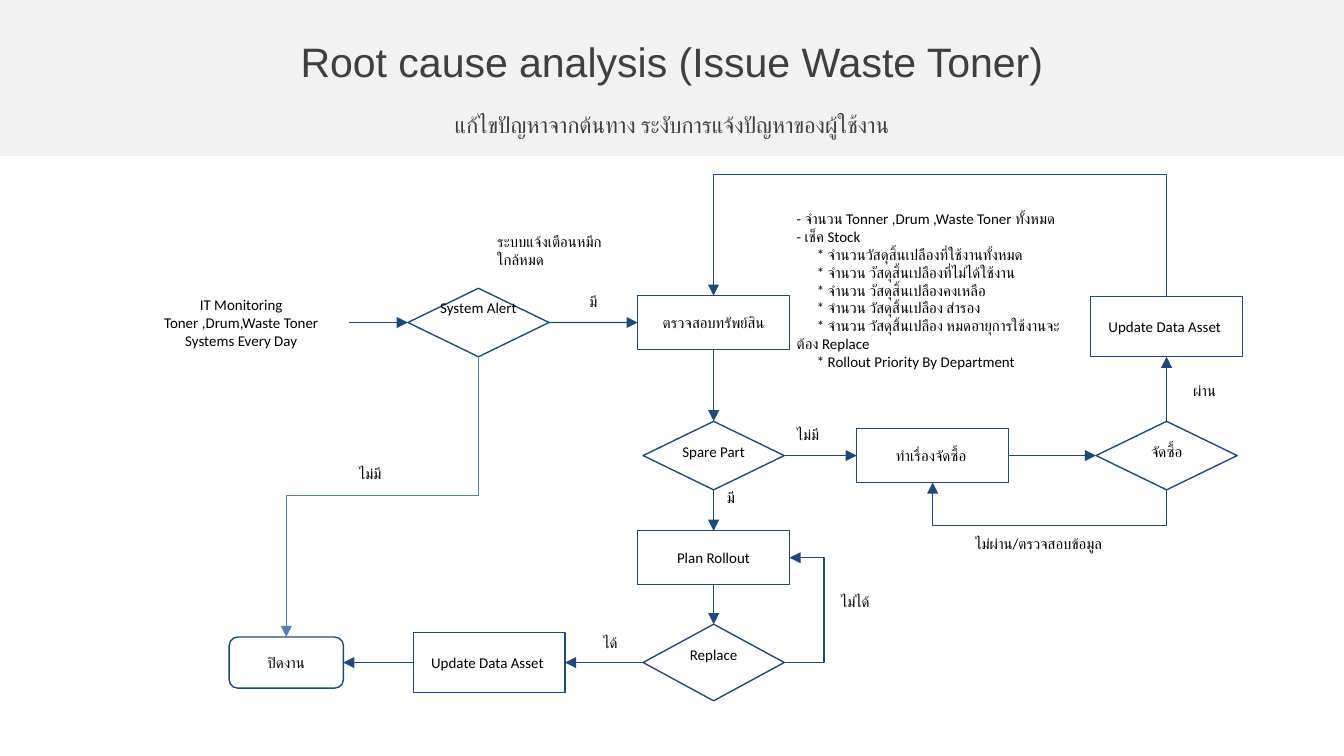
from lxml.etree import SubElement
from pptx import Presentation
from pptx.dml.color import RGBColor
from pptx.enum.shapes import MSO_CONNECTOR, MSO_SHAPE
from pptx.enum.text import MSO_ANCHOR, MSO_AUTO_SIZE, PP_ALIGN
from pptx.oxml.ns import qn
from pptx.util import Inches, Pt

NAVY = RGBColor(0x1F, 0x49, 0x7D)
BLUE = RGBColor(0x4F, 0x81, 0xBD)
WHITE = RGBColor(0xFF, 0xFF, 0xFF)
BLACK = RGBColor(0, 0, 0)
BAND_GREY = RGBColor(0xF2, 0xF2, 0xF2)
HEADING_GREY = RGBColor(0x3F, 0x3F, 0x3F)

WIDTH = 10
HEIGHT = WIDTH * 9 / 16
CLOSE_COL, ALERT_COL, UPDATE_COL, MAIN_COL, BUY_COL, ASSET_COL = 2.13, 3.56, 3.64, 5.31, 6.94, 8.68
CHECK_ROW, ASSET_ROW, PART_ROW, PLAN_ROW, REPLACE_ROW = 2.4, 2.43, 3.39, 4.15, 4.93
STEP_WIDTH, STEP_HEIGHT, ASSET_HEIGHT = 1.13, 0.4, 0.45
DECISION_WIDTH, DECISION_HEIGHT = 1.05, 0.51
LABEL_HEIGHT = 0.34
INSET = Inches(0.1)
TOP, LEFT, BOTTOM, RIGHT = range(4)

STOCK_CHECKS = [
    ("- จำนวน Tonner ,Drum ,Waste Toner ทั้งหมด", 0),
    ("- เช็ค Stock", 0),
    ("* จำนวนวัสดุสิ้นเปลืองที่ใช้งานทั้งหมด", 1),
    ("* จำนวน วัสดุสิ้นเปลืองที่ไม่ได้ใช้งาน", 1),
    ("* จำนวน วัสดุสิ้นเปลืองคงเหลือ", 1),
    ("* จำนวน วัสดุสิ้นเปลือง สำรอง", 1),
    ("* จำนวน วัสดุสิ้นเปลือง หมดอายุการใช้งานจะต้อง Replace", 1),
    ("* Rollout Priority By Department", 1),
]

LABELS = [
    ("ระบบแจ้งเตือนหมึกใกล้หมด", 3.6, 1.63, 1.09, 0.47, PP_ALIGN.LEFT),
    ("มี", 4.21, 2.11, 0.41, LABEL_HEIGHT, PP_ALIGN.CENTER),
    ("ไม่มี", 2.55, 3.39, 0.41, LABEL_HEIGHT, PP_ALIGN.CENTER),
    ("ไม่มี", 5.83, 3.1, 0.41, LABEL_HEIGHT, PP_ALIGN.LEFT),
    ("มี", 5.31, 3.57, 0.41, LABEL_HEIGHT, PP_ALIGN.LEFT),
    ("ได้", 4.39, 4.65, 0.41, LABEL_HEIGHT, PP_ALIGN.LEFT),
    ("ไม่ได้", 6.16, 4.34, 0.52, LABEL_HEIGHT, PP_ALIGN.LEFT),
    ("ผ่าน", 8.78, 2.77, 0.6, LABEL_HEIGHT, PP_ALIGN.LEFT),
    ("ไม่ผ่าน/ตรวจสอบข้อมูล", 7.16, 3.91, 1.3, LABEL_HEIGHT, PP_ALIGN.LEFT),
]


def style(paragraph, size=8, color=BLACK, face="Calibri", align=PP_ALIGN.CENTER):
    """Format one paragraph, including its Thai typeface."""
    paragraph.alignment = align
    font = paragraph.font
    font.size, font.name = Pt(size), face
    font.color.rgb = color
    SubElement(paragraph._p.pPr.find(qn("a:defRPr")), qn("a:cs"), typeface=face)


def set_insets(frame):
    """Give a text frame equal insets and wrapping."""
    frame.margin_left = frame.margin_right = frame.margin_top = frame.margin_bottom = INSET
    frame.word_wrap = True


def heading(placeholder, text, top, height, size, face):
    """Fill and place a full-width heading placeholder."""
    placeholder.left, placeholder.width = 0, Inches(WIDTH)
    placeholder.top, placeholder.height = Inches(top), Inches(height)
    frame = placeholder.text_frame
    frame.text = text
    frame.vertical_anchor = MSO_ANCHOR.MIDDLE
    frame.auto_size = MSO_AUTO_SIZE.NONE
    style(frame.paragraphs[0], size, HEADING_GREY, face)


def band(slide):
    """Lay the grey heading band behind everything."""
    strip = slide.shapes.add_shape(MSO_SHAPE.RECTANGLE, 0, 0, Inches(WIDTH), Inches(1.16))
    strip.shadow.inherit = False
    strip.fill.solid()
    strip.fill.fore_color.rgb = BAND_GREY
    strip.line.fill.background()
    slide.shapes._spTree.insert(2, strip._element)


def label(shapes, text, left, top, width, height, align):
    """Add a small text box that grows with its text."""
    box = shapes.add_textbox(Inches(left), Inches(top), Inches(width), Inches(height))
    frame = box.text_frame
    set_insets(frame)
    frame.auto_size = MSO_AUTO_SIZE.SHAPE_TO_FIT_TEXT
    frame.text = text
    for paragraph in frame.paragraphs:
        style(paragraph, align=align)
    return box


def node(shapes, kind, col, row, width, height):
    """Add an outlined flowchart shape centred on a column and row."""
    shape = shapes.add_shape(kind, Inches(col - width / 2), Inches(row - height / 2),
                             Inches(width), Inches(height))
    shape.shadow.inherit = False
    shape.fill.solid()
    shape.fill.fore_color.rgb = WHITE
    shape.line.color.rgb = NAVY
    shape.line.width = Pt(0.75)
    return shape


def step(slide, text, col, row, width=STEP_WIDTH, height=STEP_HEIGHT, kind=MSO_SHAPE.RECTANGLE):
    """Add a process step with centred text."""
    shape = node(slide.shapes, kind, col, row, width, height)
    frame = shape.text_frame
    set_insets(frame)
    frame.vertical_anchor = MSO_ANCHOR.MIDDLE
    frame.text = text
    style(frame.paragraphs[0])
    return shape


def decision(slide, text, col, row, height=DECISION_HEIGHT, drop=0.09, text_height=LABEL_HEIGHT):
    """Add a grouped diamond and caption, and return the diamond."""
    group = slide.shapes.add_group_shape()
    diamond = node(group.shapes, MSO_SHAPE.DIAMOND, col, row, DECISION_WIDTH, height)
    label(group.shapes, text, col - 0.41, row - height / 2 + drop, 0.82, text_height, PP_ALIGN.CENTER)
    return diamond


def finish_arrow(connector, color):
    """Colour a connector, drop its shadow and add its arrowhead."""
    connector.line.color.rgb = color
    connector.line.width = Pt(0.75)
    SubElement(connector.line._get_or_add_ln(), qn("a:tailEnd"), type="triangle")
    SubElement(connector._element.spPr, qn("a:effectLst"))


def arrow(slide, source, source_side, target, target_side):
    """Join two shapes with a straight arrow."""
    connector = slide.shapes.add_connector(MSO_CONNECTOR.STRAIGHT, 0, 0, 0, 0)
    connector.begin_connect(source, source_side)
    connector.end_connect(target, target_side)
    finish_arrow(connector, NAVY)


def elbow(slide, start, end, lane, upright=True, color=NAVY):
    """Draw a bent arrow whose middle leg runs along the given lane."""
    (x1, y1), (x2, y2) = start, end
    share = (lane - y1) / (y2 - y1) if upright else (lane - x1) / (x2 - x1)
    if upright:
        mid_x, mid_y, half_x, half_y = (x1 + x2) / 2, (y1 + y2) / 2, (x2 - x1) / 2, (y2 - y1) / 2
        x1, y1, x2, y2 = mid_x - half_y, mid_y + half_x, mid_x + half_y, mid_y - half_x
    connector = slide.shapes.add_connector(MSO_CONNECTOR.ELBOW, *map(Inches, (x1, y1, x2, y2)))
    properties = connector._element.spPr
    if upright:
        properties.find(qn("a:xfrm")).set("rot", "5400000")
    guides = properties.find(qn("a:prstGeom")).get_or_add_avLst()
    SubElement(guides, qn("a:gd"), name="adj1", fmla=f"val {round(share * 100000)}")
    finish_arrow(connector, color)


def stock_list(slide):
    """Add the stock checklist with first-line indents."""
    box = label(slide.shapes, "\n".join(text for text, _ in STOCK_CHECKS),
                5.83, 1.46, 2.24, 1.55, PP_ALIGN.LEFT)
    for paragraph, (_, level) in zip(box.text_frame.paragraphs, STOCK_CHECKS):
        paragraph._p.pPr.set("marL", "0")
        paragraph._p.pPr.set("indent", str(Inches(0.15 * level)))


def main():
    """Build the waste toner flowchart slide."""
    deck = Presentation()
    deck.slide_width, deck.slide_height = Inches(WIDTH), Inches(HEIGHT)
    slide = deck.slides.add_slide(deck.slide_layouts[0])
    band(slide)
    title, subtitle = slide.placeholders
    heading(title, "Root cause analysis (Issue Waste Toner)", 0.14, 0.63, 22, "Arial")
    heading(subtitle, "แก้ไขปัญหาจากต้นทาง ระงับการแจ้งปัญหาของผู้ใช้งาน", 0.77, 0.31, 12, "Calibri")

    monitoring = label(slide.shapes, "IT Monitoring\vToner ,Drum,Waste Toner\vSystems Every Day",
                       0.99, 2.1, 1.61, 0.6, PP_ALIGN.CENTER)
    alert = decision(slide, "System Alert", ALERT_COL, CHECK_ROW, drop=0.01, text_height=0.47)
    check = step(slide, "ตรวจสอบทรัพย์สิน", MAIN_COL, CHECK_ROW)
    spare = decision(slide, "Spare Part", MAIN_COL, PART_ROW)
    request = step(slide, "ทำเรื่องจัดซื้อ ", BUY_COL, PART_ROW)
    purchase = decision(slide, "จัดซื้อ", ASSET_COL, PART_ROW)
    asset = step(slide, "Update Data Asset ", ASSET_COL, ASSET_ROW, height=ASSET_HEIGHT)
    plan = step(slide, "Plan Rollout", MAIN_COL, PLAN_ROW)
    replace = decision(slide, "Replace", MAIN_COL, REPLACE_ROW, height=0.57)
    update = step(slide, "Update Data Asset ", UPDATE_COL, REPLACE_ROW, height=ASSET_HEIGHT)
    close = step(slide, "ปิดงาน", CLOSE_COL, REPLACE_ROW, 0.85, 0.38, MSO_SHAPE.ROUNDED_RECTANGLE)

    for source, target in ((monitoring, alert), (alert, check), (spare, request), (request, purchase)):
        arrow(slide, source, RIGHT, target, LEFT)
    for source, target in ((check, spare), (spare, plan), (plan, replace)):
        arrow(slide, source, BOTTOM, target, TOP)
    for source, target in ((replace, update), (update, close)):
        arrow(slide, source, LEFT, target, RIGHT)
    arrow(slide, purchase, TOP, asset, BOTTOM)

    elbow(slide, (ALERT_COL, CHECK_ROW + DECISION_HEIGHT / 2), (CLOSE_COL, 4.74), 3.69, color=BLUE)
    elbow(slide, (ASSET_COL, PART_ROW + DECISION_HEIGHT / 2),
          (BUY_COL, PART_ROW + STEP_HEIGHT / 2), 3.91)
    elbow(slide, (ASSET_COL, ASSET_ROW - ASSET_HEIGHT / 2),
          (MAIN_COL, CHECK_ROW - STEP_HEIGHT / 2), 1.32)
    elbow(slide, (MAIN_COL + DECISION_WIDTH / 2, REPLACE_ROW),
          (MAIN_COL + STEP_WIDTH / 2, PLAN_ROW), 6.13, upright=False)

    stock_list(slide)
    for details in LABELS:
        label(slide.shapes, *details)
    deck.save("out.pptx")


if __name__ == "__main__":
    main()
